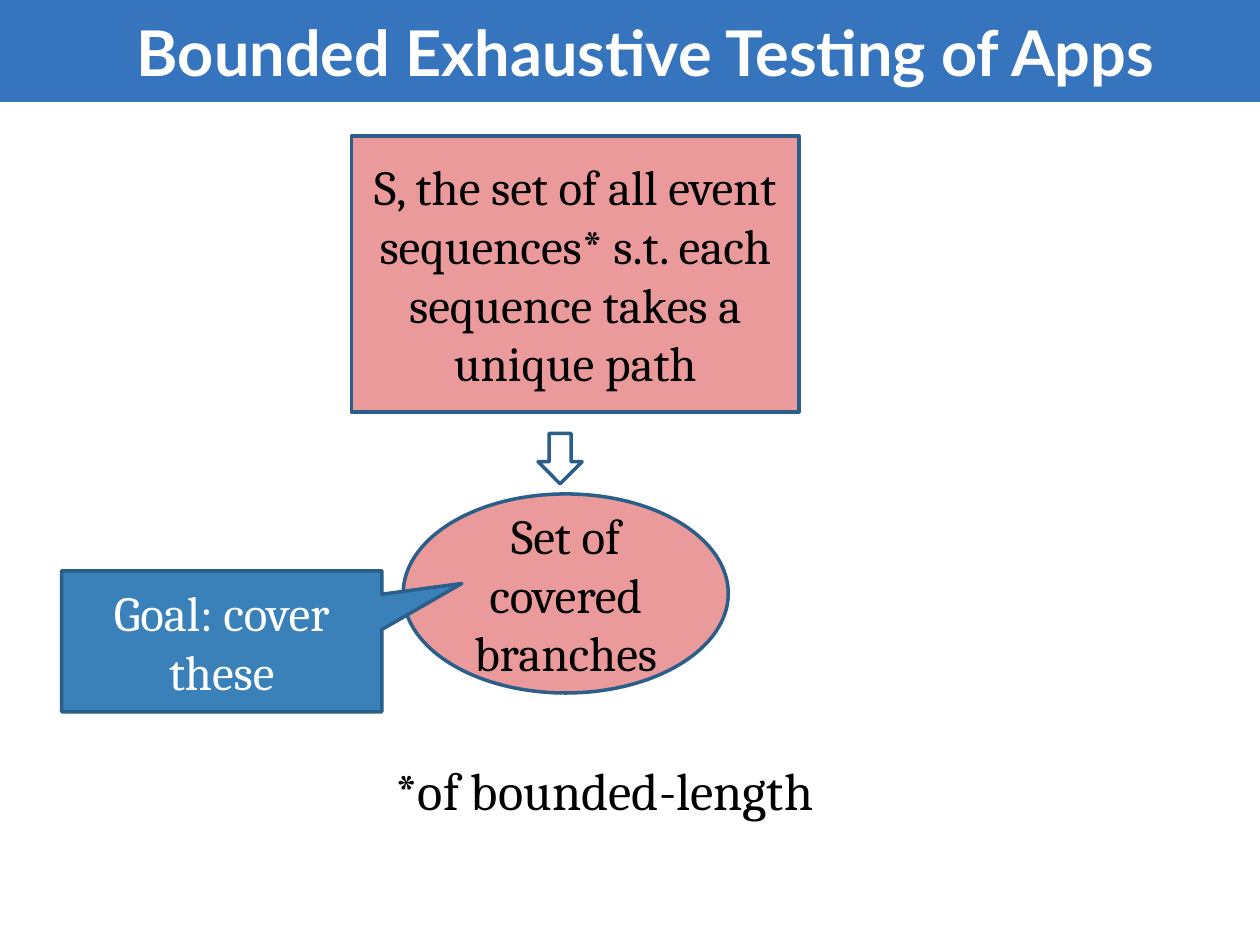
from pptx import Presentation
from pptx.dml.color import RGBColor
from pptx.enum.shapes import MSO_SHAPE
from pptx.enum.text import MSO_ANCHOR, PP_ALIGN
from pptx.util import Inches, Pt

WHITE = RGBColor(0xFF, 0xFF, 0xFF)
BLACK = RGBColor(0x00, 0x00, 0x00)
BANNER_BLUE = RGBColor(0x36, 0x74, 0xBE)
CALLOUT_BLUE = RGBColor(0x3A, 0x81, 0xBA)
OUTLINE_BLUE = RGBColor(0x2B, 0x5F, 0x8A)
PINK = RGBColor(0xEA, 0x9A, 0x9A)


def write_text(frame, text, font="Cambria", size=28, color=BLACK, bold=False,
               align=PP_ALIGN.CENTER, anchor=MSO_ANCHOR.MIDDLE, indent=0):
    frame.word_wrap = True
    frame.vertical_anchor = anchor
    paragraph = frame.paragraphs[0]
    paragraph.alignment = align
    if indent:
        paragraph._p.get_or_add_pPr().set("indent", str(Inches(indent)))
    run = paragraph.add_run()
    run.text = text
    run.font.name = font
    run.font.size = Pt(size)
    run.font.bold = bold
    run.font.color.rgb = color


class SlideBuilder:
    def __init__(self, slide, outline=OUTLINE_BLUE, outline_width=2):
        self.slide = slide
        self.outline = outline
        self.outline_width = outline_width

    def shape(self, preset, box, fill=None, outlined=True, text=None, **text_format):
        shape = self.slide.shapes.add_shape(preset, *map(Inches, box))
        shape.shadow.inherit = False
        if fill is None:
            shape.fill.background()
        else:
            shape.fill.solid()
            shape.fill.fore_color.rgb = fill
        if outlined:
            shape.line.color.rgb = self.outline
            shape.line.width = Pt(self.outline_width)
        else:
            shape.line.fill.background()
        if text:
            write_text(shape.text_frame, text, **text_format)
        return shape

    def banner(self, text, box):
        banner = self.shape(MSO_SHAPE.RECTANGLE, box, BANNER_BLUE, outlined=False,
                            text=text, font="Lato", size=36, color=WHITE,
                            bold=True, indent=0.25)
        frame = banner.text_frame
        frame.margin_left = frame.margin_right = Inches(0.1)
        frame.margin_top = frame.margin_bottom = Inches(0.1)

    def callout(self, text, box, tip):
        callout = self.shape(MSO_SHAPE.RECTANGULAR_CALLOUT, box, CALLOUT_BLUE,
                             text=text, color=WHITE)
        callout.adjustments[0], callout.adjustments[1] = tip

    def label(self, text, box, **text_format):
        label = self.slide.shapes.add_textbox(*map(Inches, box))
        write_text(label.text_frame, text, align=PP_ALIGN.LEFT,
                   anchor=MSO_ANCHOR.TOP, **text_format)


def main():
    deck = Presentation()
    deck.slide_width, deck.slide_height = Inches(10), Inches(7.5)
    builder = SlideBuilder(deck.slides.add_slide(deck.slide_layouts[6]))

    # Title banner
    builder.banner("Bounded Exhaustive Testing of Apps", (0, 0, 10, 0.81))

    # Event sequences lead to covered branches
    builder.shape(MSO_SHAPE.RECTANGLE, (2.79, 1.08, 3.55, 2.19), PINK,
                  text="S, the set of all event sequences* s.t. each "
                       "sequence takes a unique path")
    builder.shape(MSO_SHAPE.DOWN_ARROW, (4.27, 3.44, 0.35, 0.4))

    # Footnote on sequence length
    builder.label("*of bounded-length", (3.04, 5.97, 5.25, 0.61), size=30)

    # Covered branches and the goal that points at them
    builder.shape(MSO_SHAPE.OVAL, (3.2, 3.92, 2.58, 1.58), PINK,
                  text="Set of covered branches")
    builder.callout("Goal: cover these", (0.49, 4.53, 2.54, 1.12), (0.75, -0.41))

    deck.save("out.pptx")


if __name__ == "__main__":
    main()
